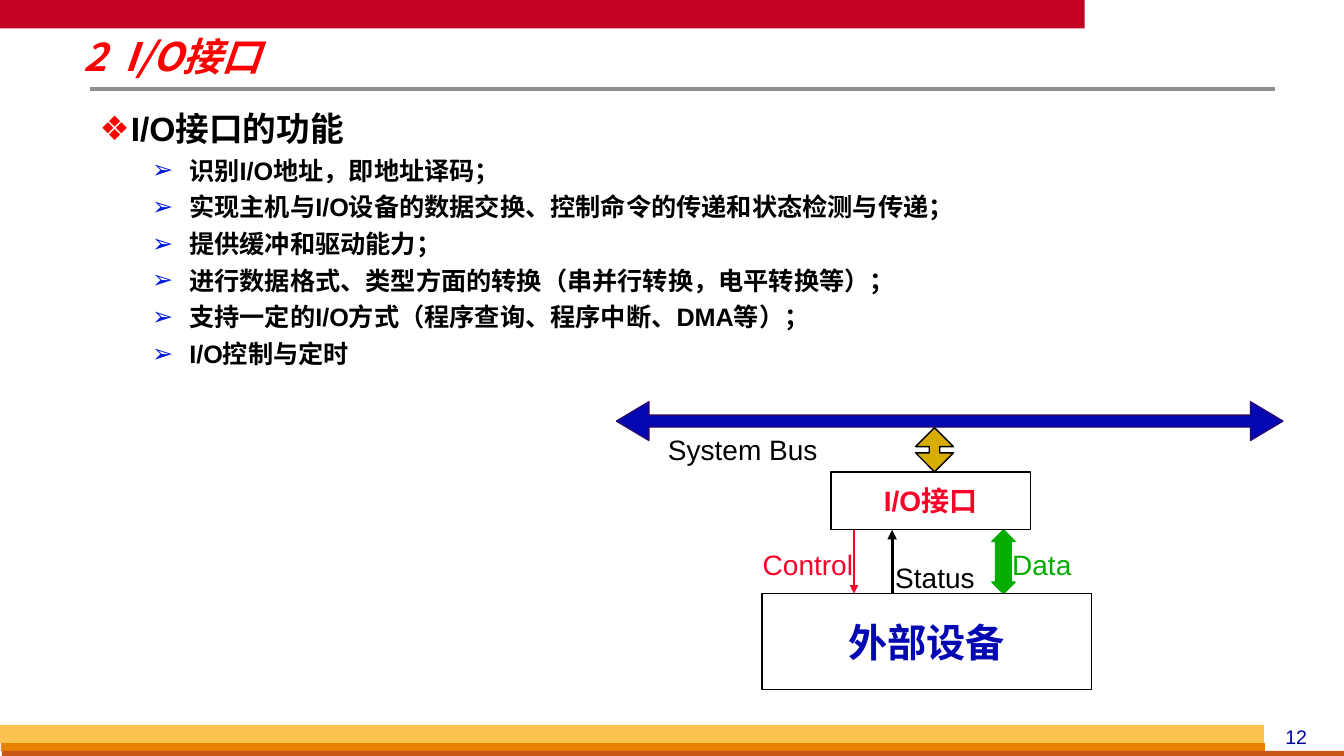
import pptx
import pptx.util
import pptx.dml.color
import pptx.enum.shapes
import pptx.enum.text
import pptx.oxml

Pt = pptx.util.Pt
Kind = pptx.enum.shapes.MSO_SHAPE
Align = pptx.enum.text.PP_ALIGN
Mid = pptx.enum.text.MSO_ANCHOR.MIDDLE
Top = pptx.enum.text.MSO_ANCHOR.TOP
SANS, HAN = "Arial", "Noto Sans CJK SC"
NS = 'xmlns:a="http://schemas.openxmlformats.org/drawingml/2006/main"'

TITLE = "2  I/O接口"
HEAD = "I/O接口的功能"
ITEMS = [
    "识别I/O地址，即地址译码；",
    "实现主机与I/O设备的数据交换、控制命令的传递和状态检测与传递；",
    "提供缓冲和驱动能力；",
    "进行数据格式、类型方面的转换（串并行转换，电平转换等）；",
    "支持一定的I/O方式（程序查询、程序中断、DMA等）；",
    "I/O控制与定时",
]
BARS = [
    ((0, 0, 774.7, 20.2), "C30224"),
    ((0.7, 530.6, 902.9, 5.8), "E88000"),
    ((1.4, 536.4, 958.6, 3.6), "C95616"),
    ((0, 517.7, 902.9, 13), "FCC24F"),
]
ARROWS = [
    (Kind.LEFT_RIGHT_ARROW, (440.4, 287, 476, 27.6), (0.306, 0.837), "0408B2", "280771"),
    (Kind.UP_DOWN_ARROW, (654, 305.5, 27, 31.5), (0.5, 0.28), "D5AD03", "000000"),
    (Kind.UP_DOWN_ARROW, (708.5, 378.5, 16.6, 45.5), (0.5, 0.667), "05AD01", "05AD01"),
]
BOXES = [
    ((593.5, 337, 142.5, 41.2), "I/O接口", 20, "FC0128"),
    ((544.3, 424, 235.3, 68.4), "外部设备", 28, "0408B2"),
]
LINES = [
    ((64, 63.4), (910.8, 63.4), "919191", 3, False),
    ((610, 378.5), (610, 424), "FC0128", 1.5, True),
    ((637.2, 424), (637.2, 378.5), "000000", 2.25, True),
]
LABELS = [
    ((462.2, 305.3, 136.8, 23.8), "System Bus", 20, "000000"),
    ((708.5, 387.4, 71.3, 23.8), "Data", 20, "05AD01"),
    ((527.8, 387.4, 98.6, 23.8), "Control", 20, "FC0128"),
    ((632.2, 396.7, 71.3, 23.8), "Status", 20, "000000"),
    ((895.7, 514, 60.5, 23.8), "12", 14, "000099"),
]

deck = pptx.Presentation()
deck.slide_width, deck.slide_height = Pt(960), Pt(540)
slide = deck.slides.add_slide(deck.slide_layouts[6])


def hue(code):
    return pptx.dml.color.RGBColor.from_string(code)


def node(xml):
    tag, _, rest = xml.partition(" ")
    return pptx.oxml.parse_xml(f"<a:{tag} {NS} {rest}/>")


def style(para, size, code, bold=False, face=SANS):
    for run in para.runs:
        font = run.font
        font.name, font.size, font.bold = face, Pt(size), bold
        font.color.rgb = hue(code)
        font._element.find("{*}latin").addnext(node(f'ea typeface="{HAN}"'))


def shape(kind, box, fill=None, edge=None):
    item = slide.shapes.add_shape(kind, *map(Pt, box))
    item.shadow.inherit = False
    if fill:
        item.fill.solid()
        item.fill.fore_color.rgb = hue(fill)
    else:
        item.fill.background()
    if edge:
        item.line.color.rgb = hue(edge)
        item.line.width = Pt(1)
    else:
        item.line.fill.background()
    return item


def text(box, inset=None, anchor=Top):
    frame = slide.shapes.add_textbox(*map(Pt, box)).text_frame
    frame.word_wrap = True
    frame.vertical_anchor = anchor
    if inset:
        frame.margin_left = frame.margin_right = Pt(inset[0])
        frame.margin_top = frame.margin_bottom = Pt(inset[1])
    return frame


def bullet(para, mark, code, left, hang):
    props = para._p.get_or_add_pPr()
    props.set("marL", str(Pt(left)))
    props.set("indent", str(-Pt(hang)))
    color = node("buClr")
    color.append(node(f'srgbClr val="{code}"'))
    for part in (color, node(f'buFont typeface="{SANS}"'), node(f'buChar char="{mark}"')):
        props.append(part)


def line(start, end, code, width, arrow):
    item = slide.shapes.add_connector(
        pptx.enum.shapes.MSO_CONNECTOR.STRAIGHT, *map(Pt, start + end))
    item.line.color.rgb = hue(code)
    item.line.width = Pt(width)
    if arrow:
        item.line._get_or_add_ln().append(node('tailEnd type="triangle"'))
    item._element.spPr.append(node("effectLst"))


for box, fill in BARS:
    shape(Kind.RECTANGLE, box, fill)

frame = text((54.7, 25.9, 414, 33.1), (5, 2.2), Mid)
frame.text = TITLE
para = frame.paragraphs[0]
para.line_spacing = 0.87
style(para, 28, "FF0000", True, HAN)
para.runs[0].font.italic = True

frame = text((66.2, 72, 856, 196.6), (5, 2.2))
frame.text = "\n".join([HEAD] + ITEMS)
for rank, para in enumerate(frame.paragraphs):
    if rank:
        para.level = 1
        para.line_spacing = Pt(26.2)
        bullet(para, "➢", "001ADC", 64.1, 26.6)
    else:
        para.line_spacing = Pt(32)
        bullet(para, "❖", "FF0000", 22.3, 22.3)
    style(para, 18 if rank else 24, "000000", True)

for kind, box, tune, fill, edge in ARROWS:
    item = shape(kind, box, fill, edge)
    for rank, value in enumerate(tune):
        item.adjustments[rank] = value

for box, words, size, code in BOXES:
    frame = shape(Kind.RECTANGLE, box, None, "000000").text_frame
    frame.text = words
    frame.word_wrap = False
    frame.vertical_anchor = Mid
    frame.paragraphs[0].alignment = Align.CENTER
    style(frame.paragraphs[0], size, code, True)

for row in LINES:
    line(*row)

for box, words, size, code in LABELS:
    frame = text(box)
    frame.text = words
    frame.paragraphs[0].alignment = Align.CENTER
    style(frame.paragraphs[0], size, code)

deck.save("out.pptx")
